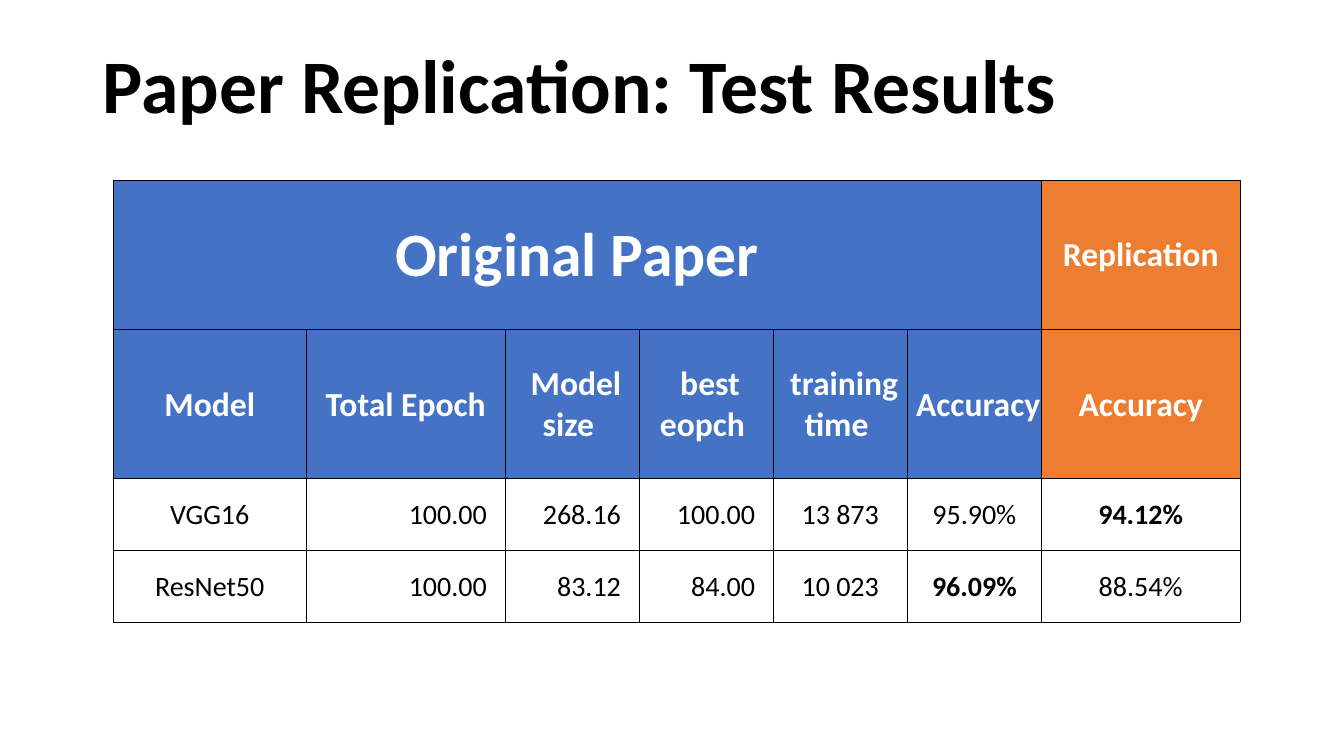
from dataclasses import dataclass
from lxml.etree import SubElement
from pptx import Presentation
from pptx.dml.color import RGBColor as Color
from pptx.enum.text import MSO_ANCHOR as Anchor, MSO_AUTO_SIZE as AutoSize, PP_ALIGN as Align
from pptx.oxml.ns import qn
from pptx.util import Inches, Pt

TITLE = "Paper Replication: Test Results"
BANNER = ["Original Paper", "", "", "", "", "", "Replication"]
HEADINGS = ["Model", "Total Epoch", " Model size ", " best eopch ",
            " training time ", " Accuracy ", "Accuracy"]
RESULTS = [
    ["VGG16", "100.00", "268.16", "100.00", "13 873", "95.90%", "94.12%"],
    ["ResNet50", "100.00", "83.12", "84.00", "10 023", "96.09%", "88.54%"],
]
BEST = {"94.12%", "96.09%"}
NUMBER_COLUMNS = {1, 2, 3}
REPLICATION_COLUMN = 6
HEADER_ROWS = 2
COLUMN_WIDTHS = [1.92, 1.97, 1.33, 1.33, 1.33, 1.33, 1.97]
ROW_HEIGHTS = [1.48, 1.48, 0.71, 0.71]


@dataclass(frozen=True)
class Theme:
    font: str = "Calibri"
    black: str = "000000"
    white: str = "FFFFFF"
    paper: str = "4472C4"
    replication: str = "ED7D31"
    title_size: int = 54
    banner_size: int = 44
    heading_size: int = 24
    body_size: int = 20
    border: float = 0.5


THEME = Theme()


def apply(target, values):
    for name, value in values.items():
        setattr(target, name, value)


def write(frame, text, size, color, bold, align):
    para = frame.paragraphs[0]
    para.alignment = align
    span = para.add_run()
    span.text = text
    apply(span.font, {"name": THEME.font, "size": Pt(size), "bold": bold})
    span.font.color.rgb = Color.from_string(color)
    return para


def add_borders(cell):
    properties = cell._tc.get_or_add_tcPr()
    for side in ("a:lnL", "a:lnR", "a:lnT", "a:lnB"):
        line = SubElement(properties, qn(side), w=str(Pt(THEME.border)))
        fill = SubElement(line, qn("a:solidFill"))
        SubElement(fill, qn("a:srgbClr"), val=THEME.black)


def format_cell(cell, text, row, column):
    header = row < HEADER_ROWS
    number = not header and column in NUMBER_COLUMNS
    apply(cell, {
        "vertical_anchor": Anchor.MIDDLE,
        "margin_left": Inches(0.01),
        "margin_right": Inches(0.18 if number else 0.01),
        "margin_top": Inches(0.01),
        "margin_bottom": 0,
    })
    add_borders(cell)
    if header:
        cell.fill.solid()
        shade = THEME.replication if column == REPLICATION_COLUMN else THEME.paper
        cell.fill.fore_color.rgb = Color.from_string(shade)
    else:
        cell.fill.background()
    if text:
        size = THEME.heading_size if header else THEME.body_size
        if (row, column) == (0, 0):
            size = THEME.banner_size
        write(cell.text_frame, text, size, THEME.white if header else THEME.black,
              header or text in BEST, Align.RIGHT if number else Align.CENTER)


def add_title(page):
    box = page.shapes.title
    apply(box, {"left": Inches(0.92), "top": Inches(0.32),
                "width": Inches(11.5), "height": Inches(1.02)})
    apply(box.text_frame, {"vertical_anchor": Anchor.BOTTOM, "word_wrap": True,
                           "auto_size": AutoSize.NONE})
    para = write(box.text_frame, TITLE, THEME.title_size, THEME.black, True, Align.LEFT)
    para.line_spacing = 0.9


def add_results(page):
    rows = [BANNER, HEADINGS, *RESULTS]
    table = page.shapes.add_table(
        len(rows), len(COLUMN_WIDTHS), Inches(1.12), Inches(1.79),
        Inches(sum(COLUMN_WIDTHS)), Inches(sum(ROW_HEIGHTS))).table
    apply(table, {"first_row": False, "horz_banding": False})
    for column, width in zip(table.columns, COLUMN_WIDTHS):
        column.width = Inches(width)
    for row, height in zip(table.rows, ROW_HEIGHTS):
        row.height = Inches(height)
    table.cell(0, 0).merge(table.cell(0, REPLICATION_COLUMN - 1))
    for row, texts in enumerate(rows):
        for column, text in enumerate(texts):
            format_cell(table.cell(row, column), text, row, column)


def main():
    deck = Presentation()
    apply(deck, {"slide_width": Inches(13.33), "slide_height": Inches(7.5)})
    page = deck.slides.add_slide(deck.slide_layouts.get_by_name("Title Only"))
    add_title(page)
    add_results(page)
    deck.save("out.pptx")


if __name__ == "__main__":
    main()
